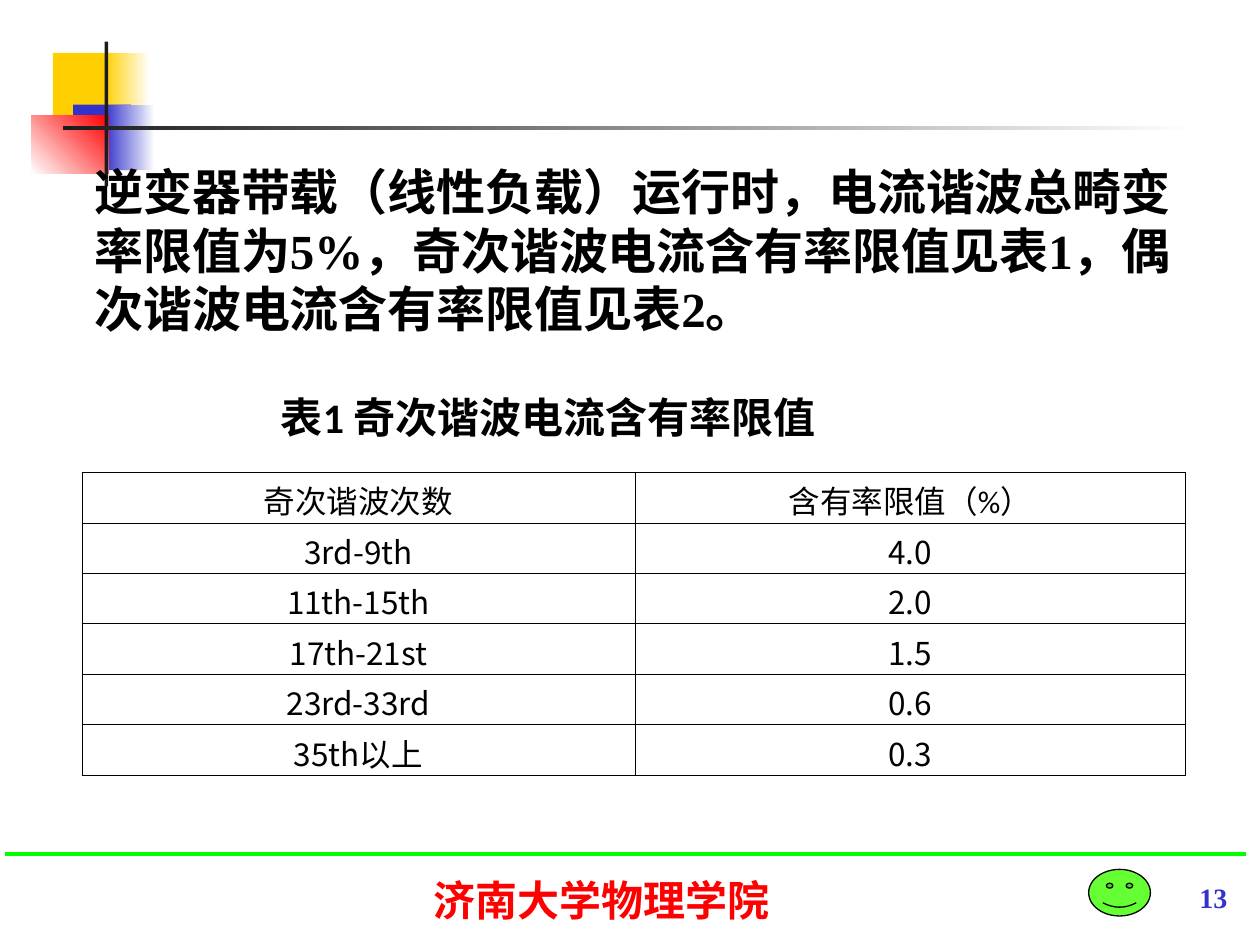
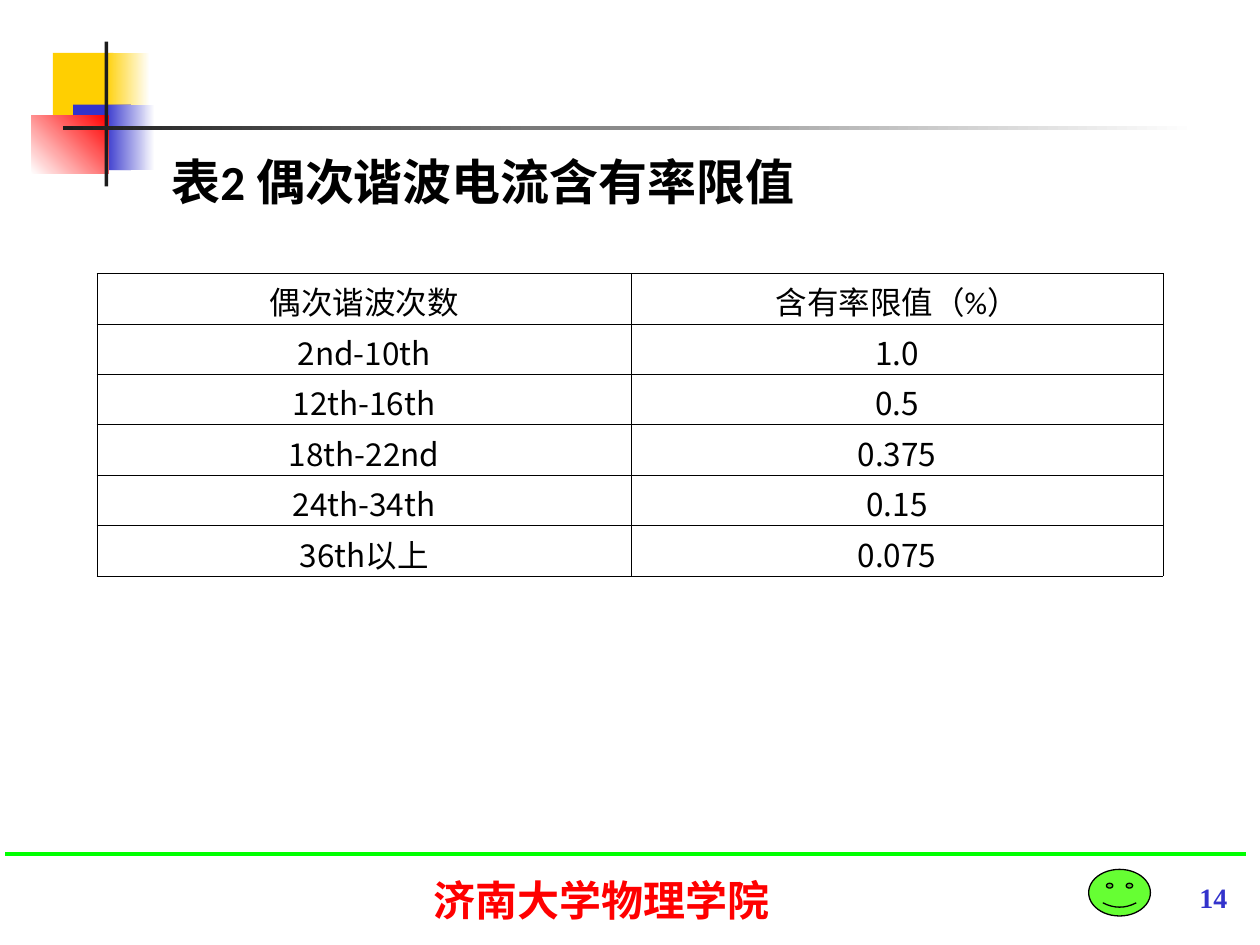
import pptx
import pptx.util
import pptx.dml.color
import pptx.enum.shapes
import pptx.enum.text
import pptx.oxml
import pptx.oxml.ns
from pptx.util import Inches

SERIF = "Times New Roman"
SANS = "Calibri"
CJK = "Noto Sans CJK SC"
YELLOW, BLUE, RED, DARK = "FFCF01", "3333CC", "FF0000", "1C1C1C"
WHITE, BLACK, GREEN, LIME = "FFFFFF", "000000", "00FF00", "66FF33"
LINE_HEIGHT = 1.2
ROW_HEIGHT = 0.4
ALIGN = pptx.enum.text.PP_ALIGN
SHAPE = pptx.enum.shapes.MSO_SHAPE


def rgb(color):
    return pptx.dml.color.RGBColor.from_string(color)


def sub(parent, tag, **attrs):
    el = pptx.oxml.parse_xml(f"<{tag} {pptx.oxml.ns.nsdecls('a')}/>")
    for key, value in attrs.items():
        el.set(key, str(value))
    parent.append(el)
    return el


def write(tf, text, size=18, font=SANS, color=BLACK, bold=False, align=ALIGN.LEFT):
    p = tf.paragraphs[0]
    p.alignment = align
    p.space_before = pptx.util.Pt(0)
    p.line_spacing = pptx.util.Pt(size * LINE_HEIGHT)
    r = p.add_run()
    r.text = text
    r.font.size = pptx.util.Pt(size)
    r.font.bold = bold
    r.font.name = font
    r.font.color.rgb = rgb(color)
    sub(r.font._element, "a:ea", typeface=CJK)


def format_frame(tf, top=0.05, right=0.1):
    tf.word_wrap = True
    tf.auto_size = pptx.enum.text.MSO_AUTO_SIZE.NONE
    tf.vertical_anchor = pptx.enum.text.MSO_ANCHOR.TOP
    tf.margin_left, tf.margin_right = Inches(0.1), Inches(right)
    tf.margin_top, tf.margin_bottom = Inches(top), Inches(0)


def add_text(s, box, text, top=0.05, right=0.1, **fmt):
    sp = s.shapes.add_textbox(*map(Inches, box))
    format_frame(sp.text_frame, top, right)
    write(sp.text_frame, text, **fmt)


def set_title(s, box, text, size):
    sp = s.shapes.title
    sp.left, sp.top, sp.width, sp.height = map(Inches, box)
    format_frame(sp.text_frame, top=0.28)
    write(sp.text_frame, text, size=size, bold=True)


def add_block(s, box, *colors, angle=0, kind=SHAPE.RECTANGLE):
    sp = s.shapes.add_shape(kind, *map(Inches, box))
    sp.shadow.inherit = False
    sp.line.fill.background()
    if len(colors) == 1:
        sp.fill.solid()
        sp.fill.fore_color.rgb = rgb(colors[0])
    else:
        sp.fill.gradient()
        sp.fill.gradient_angle = angle
        for stop, color in zip(sp.fill.gradient_stops, colors):
            stop.color.rgb = rgb(color)
    return sp


def add_rule(s, x1, x2, y):
    ln = s.shapes.add_connector(
        pptx.enum.shapes.MSO_CONNECTOR.STRAIGHT, *map(Inches, (x1, y, x2, y)))
    ln.line.color.rgb = rgb(GREEN)
    ln.line.width = pptx.util.Pt(2.25)
    sub(ln._element.spPr, "a:effectLst")


def add_corner(s):
    add_block(s, (0.42, 0.42, 0.48, 0.52), YELLOW)
    add_block(s, (0.83, 0.42, 0.36, 0.52), YELLOW, WHITE)
    add_block(s, (0.58, 0.83, 0.46, 0.52), BLUE)
    add_block(s, (0.83, 0.83, 0.4, 0.52), BLUE, WHITE)
    add_block(s, (0.25, 0.92, 0.61, 0.46), WHITE, RED, angle=45)
    add_block(s, (0.83, 0.33, 0.03, 1.15), DARK)
    add_block(s, (0.5, 1, 9, 0.03), DARK, WHITE)


def add_footer(s, number):
    add_text(s, (6.67, 6.94, 3.17, 0.35), str(number), size=16, font=SERIF,
             color=BLUE, bold=True, align=ALIGN.RIGHT)
    add_text(s, (2.93, 6.86, 3.69, 0.58), "济南大学物理学院", top=0.08, size=24,
             font="Roboto", color=RED, bold=True, align=ALIGN.CENTER)
    add_rule(s, 0.04, 9.89, 6.78)
    face = add_block(s, (8.64, 6.9, 0.49, 0.37), LIME, kind=SHAPE.SMILEY_FACE)
    face.adjustments[0] = 0.093
    face.line.color.rgb = rgb(BLACK)
    face.line.width = pptx.util.Pt(0.75)


def format_cell(cell):
    cell.margin_left = cell.margin_right = Inches(0.07)
    cell.margin_top, cell.margin_bottom = Inches(0.1), Inches(0)
    tc_pr = cell._tc.get_or_add_tcPr()
    for side in "LRTB":
        ln = sub(tc_pr, f"a:ln{side}", w=pptx.util.Pt(0.45))
        sub(sub(ln, "a:solidFill"), "a:srgbClr", val=BLACK)
    cell.fill.background()


def add_limits_table(s, left, top, widths, rows):
    frame = s.shapes.add_table(
        len(rows), len(widths),
        *map(Inches, (left, top, sum(widths), ROW_HEIGHT * len(rows))))
    table = frame.table
    table.first_row = table.horz_banding = False
    for column, width in zip(table.columns, widths):
        column.width = Inches(width)
    for i, row in enumerate(rows):
        table.rows[i].height = Inches(ROW_HEIGHT)
        for j, text in enumerate(row):
            cell = table.cell(i, j)
            format_cell(cell)
            write(cell.text_frame, text, font=CJK if i else SANS, align=ALIGN.CENTER)


def add_slide(prs, number):
    s = prs.slides.add_slide(prs.slide_layouts[5])
    add_corner(s)
    add_footer(s, number)
    return s


def main():
    prs = pptx.Presentation()
    prs.slide_width, prs.slide_height = Inches(10), Inches(7.5)
    limit = "含有率限值（%）"

    s = add_slide(prs, 13)
    add_text(s, (0.65, 1.19, 8.76, 1.5),
             "逆变器带载（线性负载）运行时，电流谐波总畸变率限值为5%，"
             "奇次谐波电流含有率限值见表1，偶次谐波电流含有率限值见表2。",
             top=0.09, right=0.05, size=28, font=SERIF, bold=True)
    set_title(s, (2.13, 2.83, 5.81, 0.68), "表1 奇次谐波电流含有率限值", 24)
    add_limits_table(s, 0.65, 3.75, (4.39, 4.37), [
        ("奇次谐波次数", limit), ("3rd-9th", "4.0"), ("11th-15th", "2.0"),
        ("17th-21st", "1.5"), ("23rd-33rd", "0.6"), ("35th以上", "0.3")])

    s = add_slide(prs, 14)
    set_title(s, (1.26, 0.92, 6.7, 1.25), "表2 偶次谐波电流含有率限值", 28)
    add_limits_table(s, 0.77, 2.17, (4.24, 4.22), [
        ("偶次谐波次数", limit), ("2nd-10th", "1.0"), ("12th-16th", "0.5"),
        ("18th-22nd", "0.375"), ("24th-34th", "0.15"), ("36th以上", "0.075")])

    prs.save("out.pptx")


if __name__ == "__main__":
    main()
